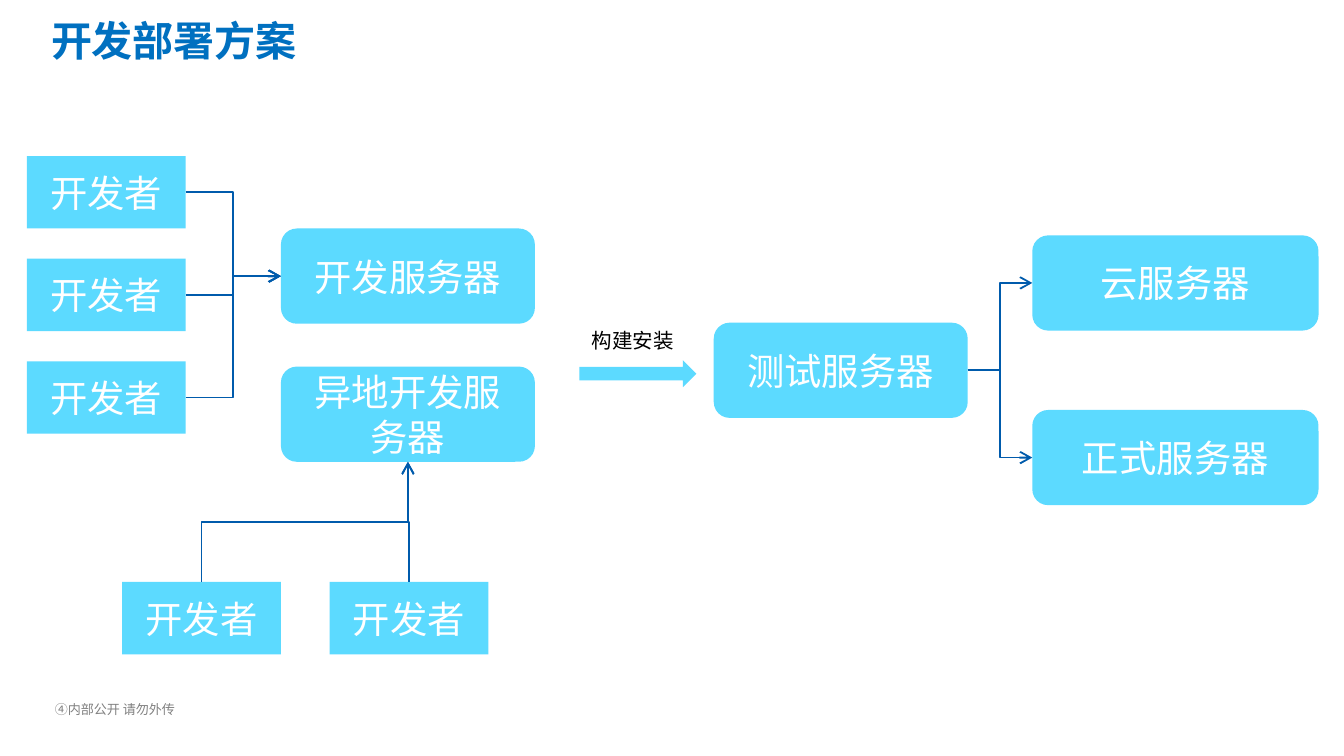
from lxml import etree
from pptx import Presentation
from pptx.dml.color import RGBColor
from pptx.enum.shapes import MSO_CONNECTOR, MSO_SHAPE
from pptx.enum.text import MSO_ANCHOR, MSO_AUTO_SIZE, PP_ALIGN
from pptx.oxml.ns import qn
from pptx.util import Cm, Pt

RECT, ROUNDED, ARROW = MSO_SHAPE.RECTANGLE, MSO_SHAPE.ROUNDED_RECTANGLE, MSO_SHAPE.RIGHT_ARROW
ELBOW = MSO_CONNECTOR.ELBOW
MIDDLE, TOP_ANCHOR = MSO_ANCHOR.MIDDLE, MSO_ANCHOR.TOP
LEFT_ALIGN, CENTER = PP_ALIGN.LEFT, PP_ALIGN.CENTER
FIXED = MSO_AUTO_SIZE.NONE
TOP, LEFT, BOTTOM, RIGHT = range(4)

SKY = RGBColor(0x5C, 0xDA, 0xFF)
NAVY = RGBColor(0x00, 0x5B, 0xAC)
TITLE_BLUE = RGBColor(0x00, 0x70, 0xC0)
GRAY = RGBColor(0x80, 0x80, 0x80)
BLACK = RGBColor(0, 0, 0)
WHITE = RGBColor(255, 255, 255)
CJK = "Noto Sans CJK SC"

TITLE = "开发部署方案"
FOOTER = "④内部公开 请勿外传"
BUILD_LABEL = "构建安装"
DEVELOPER = "开发者"
SERVERS = {
    "开发服务器": (5.31, 4.32, 4.8),
    "测试服务器": (13.49, 6.1, 4.8),
    "云服务器": (19.51, 4.45, 5.41),
    "正式服务器": (19.51, 7.75, 5.41),
    "异地开发服务器": (5.31, 6.93, 4.8),
}
SERVER_HEIGHT = 1.8
DEVELOPER_SIZE = (3.0, 1.37)
LOCAL_DEVELOPERS = [(0.51, 2.95 + 1.94 * row) for row in range(3)]
REMOTE_DEVELOPERS = [(2.31 + 3.92 * column, 11.0) for column in range(2)]


def write(shape, text, size=20, font=CJK, color=WHITE, bold=False,
          align=CENTER, anchor=MIDDLE, wrap=True, spacing=None):
    frame = shape.text_frame
    frame.auto_size = FIXED
    frame.word_wrap = wrap
    frame.vertical_anchor = anchor
    paragraph = frame.paragraphs[0]
    paragraph.alignment = align
    paragraph.line_spacing = spacing
    run = paragraph.add_run()
    run.text = text
    run.font.size = Pt(size)
    run.font.name = font
    run.font.bold = bold
    run.font.color.rgb = color
    etree.SubElement(run.font._element, qn("a:ea"), typeface=CJK)
    return frame


def add_block(slide, kind, box, text=None):
    block = slide.shapes.add_shape(kind, *map(Cm, box))
    block.shadow.inherit = False
    block.fill.solid()
    block.fill.fore_color.rgb = SKY
    block.line.fill.background()
    if text:
        write(block, text, font="Calibri")
    return block


def link(slide, source, target, upward=False):
    connector = slide.shapes.add_connector(ELBOW, 0, 0, 0, 0)
    connector.begin_connect(source, TOP if upward else RIGHT)
    connector.end_connect(target, BOTTOM if upward else LEFT)
    if upward:
        start_x = source.left + source.width // 2
        end_x = target.left + target.width // 2
        start_y, end_y = source.top, target.top + target.height
        center_x, center_y = (start_x + end_x) // 2, (start_y + end_y) // 2
        rise, shift = start_y - end_y, end_x - start_x
        connector.begin_x, connector.end_x = center_x - rise // 2, center_x + rise // 2
        connector.begin_y, connector.end_y = center_y - shift // 2, center_y + shift // 2
        connector.rotation = 270
    connector.line.color.rgb = NAVY
    connector.line.width = Pt(1)
    etree.SubElement(connector.line._get_or_add_ln(), qn("a:tailEnd"), type="arrow")
    etree.SubElement(connector._element.spPr, qn("a:effectLst"))


def main():
    deck = Presentation()
    deck.slide_width, deck.slide_height = Cm(25.4), Cm(14.29)
    slide = deck.slides.add_slide(deck.slide_layouts[5])

    footer = slide.shapes.add_textbox(Cm(0.89), Cm(13.03), Cm(4.5), Cm(0.69))
    frame = write(footer, FOOTER, size=7, color=GRAY, align=LEFT_ALIGN, spacing=Pt(10.5))
    frame.margin_left = frame.margin_right = Cm(0.15)
    frame.margin_top = frame.margin_bottom = Cm(0.03)

    title = slide.shapes.title
    title.left, title.top, title.width, title.height = Cm(0.71), Cm(0.05), Cm(21.89), Cm(1.4)
    write(title, TITLE, size=22, color=TITLE_BLUE, bold=True, align=LEFT_ALIGN)

    servers = {
        name: add_block(slide, ROUNDED, (left, top, width, SERVER_HEIGHT), name)
        for name, (left, top, width) in SERVERS.items()
    }
    local, remote = (
        [add_block(slide, RECT, place + DEVELOPER_SIZE, DEVELOPER) for place in places]
        for places in (LOCAL_DEVELOPERS, REMOTE_DEVELOPERS)
    )

    for developer in local:
        link(slide, developer, servers["开发服务器"])
    for developer in remote:
        link(slide, developer, servers["异地开发服务器"], upward=True)
    for name in ("云服务器", "正式服务器"):
        link(slide, servers["测试服务器"], servers[name])

    add_block(slide, ARROW, (10.95, 6.81, 2.21, 0.51))
    label = slide.shapes.add_textbox(Cm(10.92), Cm(6.07), Cm(2.08), Cm(0.74))
    write(label, BUILD_LABEL, size=11, color=BLACK, anchor=TOP_ANCHOR, wrap=False)

    deck.save("out.pptx")


if __name__ == "__main__":
    main()
